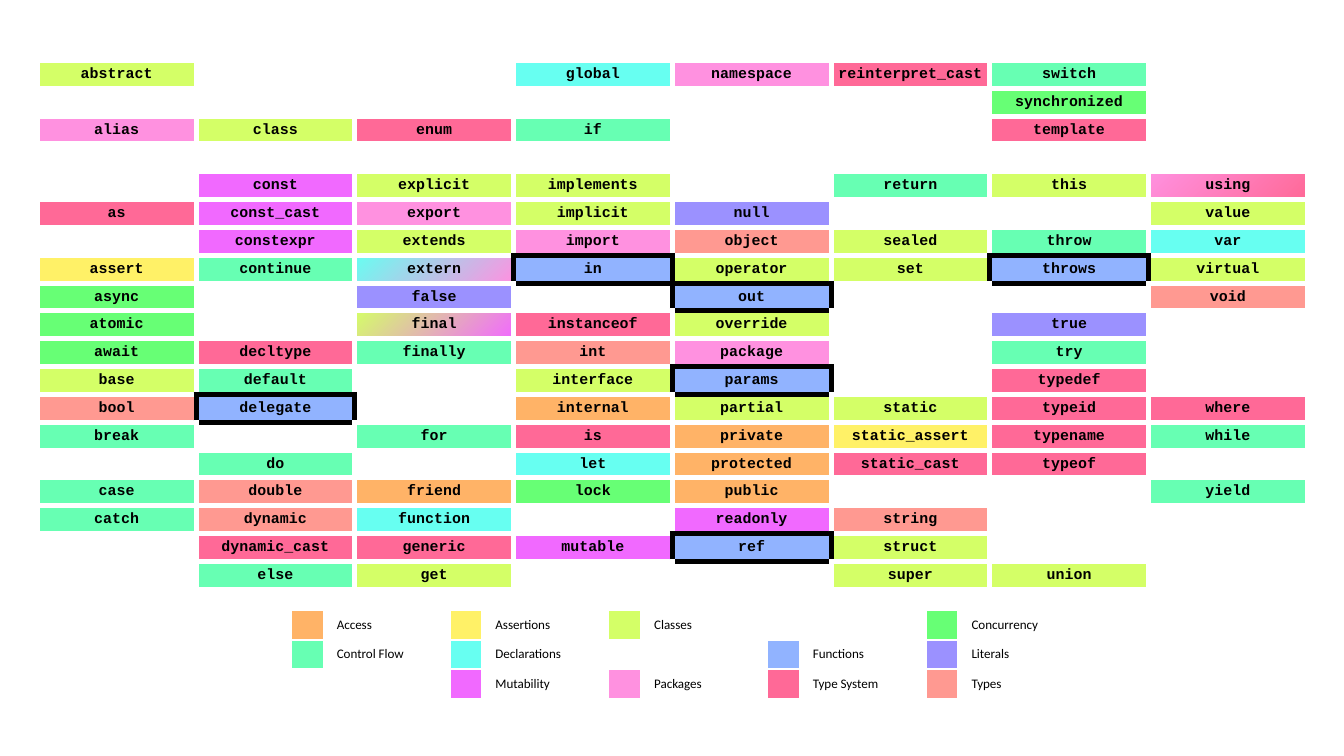
from dataclasses import dataclass

from pptx import Presentation
from pptx.dml.color import RGBColor as RGB
from pptx.enum.text import MSO_ANCHOR as Anchor, PP_ALIGN as Align
from pptx.oxml import parse_xml
from pptx.oxml.ns import nsdecls
from pptx.util import Pt


@dataclass(frozen=True)
class Theme:
    ink: str = "000000"
    paper: str = "FFFFFF"
    code_font: str = "Courier New"
    label_font: str = "Calibri"
    code_size: float = 8
    label_size: float = 7
    grid_line: float = 3
    legend_line: float = 1


# Category: colour and its keywords; a keyword in two categories gets a gradient
CATEGORIES = {
    "Access": ("FFB367", "friend internal private protected public"),
    "Assertions": ("FFF167", "assert static_assert"),
    "Classes": ("D4FF67", "abstract base class explicit extends final get "
                "implements implicit interface operator override partial sealed "
                "set static struct super this union value virtual"),
    "Concurrency": ("67FF75", "async atomic await lock synchronized"),
    "Control Flow": ("67FFB3", "break case catch continue default do else "
                     "finally for if return switch throw try while yield"),
    "Declarations": ("67FFF1", "extern function global let var"),
    "Functions": ("91B3FF", "delegate in out params ref throws"),
    "Literals": ("9B91FF", "false null true"),
    "Mutability": ("F169FF", "const const_cast constexpr final mutable readonly"),
    "Packages": ("FF91E0", "alias export extern import namespace package using"),
    "Type System": ("FF6997", "as decltype dynamic_cast enum generic instanceof is "
                    "reinterpret_cast static_cast template typedef typeid "
                    "typename typeof using where"),
    "Types": ("FF9991", "bool double dynamic int object string void"),
}

# Keyword grid, "-" marks an empty cell
KEYWORDS = [line.split() for line in """\
abstract - - global namespace reinterpret_cast switch -
- - - - - - synchronized -
alias class enum if - - template -
- - - - - - - -
- const explicit implements - return this using
as const_cast export implicit null - - value
- constexpr extends import object sealed throw var
assert continue extern in operator set throws virtual
async - false - out - - void
atomic - final instanceof override - true -
await decltype finally int package - try -
base default - interface params - typedef -
bool delegate - internal partial static typeid where
break - for is private static_assert typename while
- do - let protected static_cast typeof -
case double friend lock public - - yield
catch dynamic function - readonly string - -
- dynamic_cast generic mutable ref struct - -
- else get - - super union -""".splitlines()]

LEGEND = [
    ["Access", "Assertions", "Classes", None, "Concurrency"],
    ["Control Flow", "Declarations", None, "Functions", "Literals"],
    [None, "Mutability", "Packages", "Type System", "Types"],
]

# Border tag and the step to the neighbouring cell on that side
SIDES = {"lnL": (0, -1), "lnR": (0, 1), "lnT": (-1, 0), "lnB": (1, 0)}


def write_text(tf, text, *, size, font, color, bold=False, align=None):
    p = tf.paragraphs[0]
    if align is not None:
        p.alignment = align
    if not text:
        # An empty cell still needs a small type size to keep its row low
        p._p.get_or_add_endParaRPr().set("sz", str(int(size * 100)))
        return
    r = p.add_run()
    r.text = text
    r.font.size, r.font.name, r.font.bold = Pt(size), font, bold
    r.font.color.rgb = RGB.from_string(color)


class Board:
    def __init__(self, slide, theme):
        self.s, self.theme = slide, theme

    def table(self, x, y, col_widths, row_height, rows):
        cols = len(col_widths)
        frame = self.s.shapes.add_table(rows, cols, Pt(x), Pt(y),
                                        Pt(sum(col_widths)), Pt(row_height * rows))
        tbl = frame.table
        tbl.first_row = tbl.horz_banding = False
        for col, width in zip(tbl.columns, col_widths):
            col.width = Pt(width)
        for row in tbl.rows:
            row.height = Pt(row_height)
        return tbl

    def fill(self, cell, colors):
        if not colors:
            cell.fill.background()
        elif len(colors) == 1:
            cell.fill.solid()
            cell.fill.fore_color.rgb = RGB.from_string(colors[0])
        else:
            cell.fill.gradient()
            cell.fill.gradient_angle = 315
            for stop, color in zip(cell.fill.gradient_stops, colors):
                stop.color.rgb = RGB.from_string(color)

    def borders(self, cell, width, dark_sides=()):
        tcPr = cell._tc.get_or_add_tcPr()
        for i, side in enumerate(SIDES):
            color = self.theme.ink if side in dark_sides else self.theme.paper
            tcPr.insert(i, parse_xml(
                f'<a:{side} {nsdecls("a")} w="{Pt(width)}"><a:solidFill>'
                f'<a:srgbClr val="{color}"/></a:solidFill></a:{side}>'))

    def keyword_grid(self, x, y, col_width, row_height, words):
        t = self.theme
        tbl = self.table(x, y, [col_width] * len(words[0]), row_height, len(words))
        marked_words = CATEGORIES["Functions"][1].split()
        marked = {(i, j) for i, row in enumerate(words)
                  for j, word in enumerate(row) if word in marked_words}
        for i, row in enumerate(words):
            for j, word in enumerate(row):
                cell = tbl.cell(i, j)
                cell.margin_left = cell.margin_right = 0
                cell.margin_top = cell.margin_bottom = 0
                cell.vertical_anchor = Anchor.MIDDLE
                write_text(cell.text_frame, "" if word == "-" else word,
                           size=t.code_size, font=t.code_font, color=t.ink,
                           bold=True, align=Align.CENTER)
                self.fill(cell, [color for color, members in CATEGORIES.values()
                                 if word in members.split()])
                # An edge is dark when either cell beside it is marked
                dark = [side for side, (di, dj) in SIDES.items()
                        if marked & {(i, j), (i + di, j + dj)}]
                self.borders(cell, t.grid_line, dark)

    def legend(self, x, y, swatch, label, row_height, names):
        t = self.theme
        tbl = self.table(x, y, [swatch, label] * len(names[0]), row_height, len(names))
        for i, row in enumerate(names):
            for j, name in enumerate(row):
                colors = [CATEGORIES[name][0]] if name else []
                for k, text, fill in ((2 * j, "", colors), (2 * j + 1, name, [])):
                    cell = tbl.cell(i, k)
                    write_text(cell.text_frame, text, size=t.label_size,
                               font=t.label_font, color=t.ink)
                    self.fill(cell, fill)
                    self.borders(cell, t.legend_line)


def main():
    prs = Presentation()
    prs.slide_width, prs.slide_height = Pt(720), Pt(405)
    board = Board(prs.slides.add_slide(prs.slide_layouts[6]), Theme())

    # Keywords by first letter, then the colour key below
    board.keyword_grid(20, 32.4, 85.05, 14.93, KEYWORDS)
    board.legend(156, 327, 17.25, 67.8, 15.6, LEGEND)

    prs.save("out.pptx")


if __name__ == "__main__":
    main()
